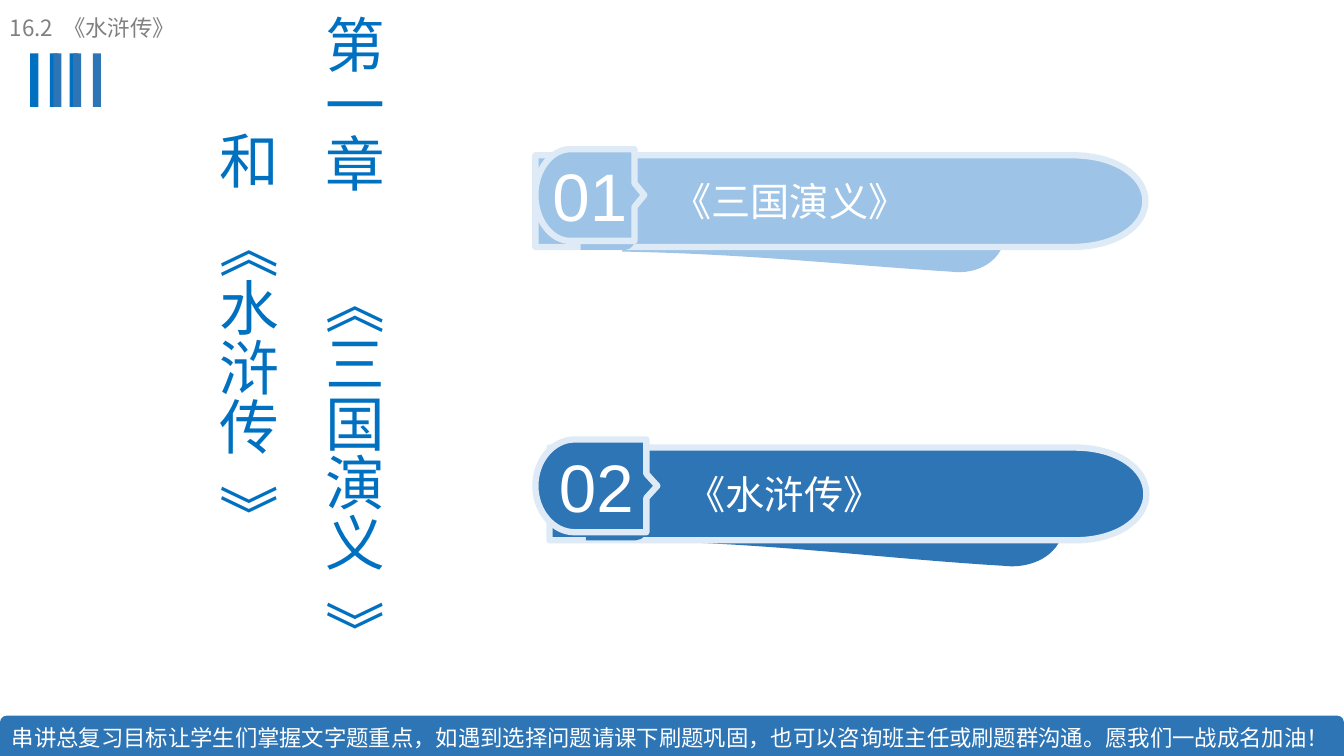
"""Build the chapter contents slide with two numbered banners."""
from lxml.etree import SubElement
from pptx import Presentation
from pptx.dml.color import RGBColor
from pptx.enum.shapes import MSO_SHAPE as Shape
from pptx.enum.text import MSO_ANCHOR as Anchor, MSO_AUTO_SIZE as Fit, PP_ALIGN as Align
from pptx.oxml.ns import qn
from pptx.util import Inches, Pt

CJK, LATIN = "Noto Sans CJK SC", "Arial"
BRIGHT, DEEP, PALE, RIM, WHITE, GREY = "0070C0", "2E75B6", "9DC3E6", "DEEBF7", "FFFFFF", "808080"

TITLE = [
    [("第一章", 0), (" ", 48), ("《三国演义", 0), (" ", 10.5), ("》", 0)],
    [("和", 0), (" ", 10.5), ("《水浒传", 0), (" ", 10.5), ("》", 0)],
]
SECTION = [[("16.2", 0), (" ", 3.5), ("《水浒传》", 0)]]
FOOTER = "串讲总复习目标让学生们掌握文字题重点，如遇到选择问题请课下刷题巩固，也可以咨询班主任或刷题群沟通。愿我们一战成名加油！"
BANNERS = [
    {"number": "01", "name": "《三国演义》", "color": PALE, "tail": 0.8,
     "shadow": (6.17, 1.56, 3.79, 1.17), "bar": (5.31, 1.54, 6.05, 0.91),
     "foot": (5.76, 2, 0.55, 0.48), "tab": (5.31, 1.48, 1.08, 0.91)},
    {"number": "02", "name": "《水浒传》", "color": DEEP, "tail": 0.77,
     "shadow": (6.29, 4.41, 4.25, 1.24), "bar": (5.45, 4.44, 5.92, 0.92),
     "foot": (5.81, 4.88, 0.62, 0.48), "tab": (5.31, 4.36, 1.21, 0.92)},
]
OUTLINES = {
    "bar": [[(0, 0)], [(0.88, 0)], [(0.95, 0), (1, 0.22), (1, 0.5)],
            [(1, 0.78), (0.95, 1), (0.88, 1)], [(0, 1)]],
    "foot": [[(0, 0)], [(0.8, 0)], [(0.91, 0), (1, 0.14), (1, 0.32)], [(1, 0.68)],
             [(1, 0.86), (0.91, 1), (0.8, 1)], [(0, 1)]],
    "tab": [[(0.32, 0)], [(0.91, 0)], [(0.91, 0.37)], [(1, 0.5)], [(0.91, 0.63)],
            [(0.91, 1)], [(0.32, 1)], [(0.15, 1), (0, 0.78), (0, 0.5)],
            [(0, 0.22), (0.15, 0), (0.32, 0)]],
}


def shadow_outline(tail):
    return [[(0.02, 0)], [(0.89, 0.32)], [(0.96, 0.35), (1.01, 0.52), (1, 0.7)],
            [(0.99, 0.88), (0.93, 1), (0.86, 0.97)],
            [(0.57, 0.91), (0.33, tail + 0.02), (0, tail)],
            [(0.01, tail - 0.21), (0.01, 0.22), (0.02, 0)]]


def color(value):
    return RGBColor.from_string(value)


def apply(target, formats):
    for name, value in formats.items():
        setattr(target, name, value)


def paint(shape, fill, rim=None):
    shape.shadow.inherit = False
    shape.fill.solid()
    shape.fill.fore_color.rgb = color(fill)
    if rim:
        shape.line.color.rgb = color(rim)
        shape.line.width = Pt(4.5)
    else:
        shape.line.fill.background()


def write(shape, paragraphs, font, size, ink, frame_formats, para_formats):
    frame = shape.text_frame
    apply(frame, {"word_wrap": True, **frame_formats})
    for index, spans in enumerate(paragraphs):
        para = frame.add_paragraph() if index else frame.paragraphs[0]
        apply(para, para_formats)
        for text, gap in spans:
            span = para.add_run()
            span.text = text
            apply(span.font, {"name": font, "size": Pt(size)})
            span.font.color.rgb = color(ink)
            properties = span.font._element
            east = properties.makeelement(qn("a:ea"), {"typeface": font})
            properties.find(qn("a:latin")).addnext(east)
            if gap:
                properties.set("spc", str(round(gap * 100)))


def add_outline(page, outline, place):
    left, top, width, height = place
    steps = [[(Inches(left + x * width), Inches(top + y * height)) for x, y in step] for step in outline]
    builder = page.shapes.build_freeform(*steps[0][0])
    builder.add_line_segments([step[-1] for step in steps[1:]], close=True)
    shape = builder.convert_to_shape()
    for line, step in zip(list(shape.element.iter(qn("a:lnTo"))), steps[1:]):
        if len(step) == 3:
            curve = line.makeelement(qn("a:cubicBezTo"), {})
            for x, y in step:
                SubElement(curve, qn("a:pt"), x=str(x - shape.left), y=str(y - shape.top))
            line.getparent().replace(line, curve)
    return shape


def add_box(page, kind, place, fill):
    box = page.shapes.add_shape(kind, *map(Inches, place))
    paint(box, fill)
    return box


def add_banner(page, banner):
    parts = {}
    for part, outline in {"shadow": shadow_outline(banner["tail"]), **OUTLINES}.items():
        parts[part] = add_outline(page, outline, banner[part])
        paint(parts[part], banner["color"], RIM if part in ("bar", "tab") else None)
    write(parts["bar"], [[(banner["name"], 0)]], CJK, 28, WHITE,
          {"vertical_anchor": Anchor.MIDDLE, "margin_left": Inches(1.36)}, {"alignment": Align.LEFT})
    write(parts["tab"], [[(banner["number"], 0)]], LATIN, 48, WHITE,
          {"vertical_anchor": Anchor.MIDDLE}, {"alignment": Align.CENTER})


def main():
    deck = Presentation()
    deck.slide_width, deck.slide_height = Inches(13.33), Inches(7.5)
    page = deck.slides.add_slide(deck.slide_layouts[5])

    for start, fill in ((0.3, BRIGHT), (0.53, DEEP)):
        for index in range(3):
            add_box(page, Shape.RECTANGLE, (start + 0.195 * index, 0.53, 0.08, 0.53), fill)
    footer = add_box(page, Shape.ROUND_2_SAME_RECTANGLE, (0, 7.1, 13.33, 0.4), DEEP)
    write(footer, [[(FOOTER, 0)]], CJK, 16, WHITE,
          {"vertical_anchor": Anchor.BOTTOM}, {"alignment": Align.LEFT})

    for banner in BANNERS:
        add_banner(page, banner)

    title = page.shapes.title
    apply(title, dict(zip(("left", "top", "width", "height"), map(Inches, (1.94, 0.1, 2.36, 7.53)))))
    title.element.txBody.bodyPr.set("vert", "eaVert")
    write(title, TITLE, CJK, 42.6, BRIGHT,
          {"vertical_anchor": Anchor.TOP, "auto_size": Fit.NONE},
          {"alignment": Align.CENTER, "line_spacing": 1.48})

    section = page.shapes.add_textbox(*map(Inches, (0, 0.09, 4.71, 0.37)))
    write(section, SECTION, CJK, 16, GREY,
          {"auto_size": Fit.SHAPE_TO_FIT_TEXT}, {"alignment": Align.LEFT})
    deck.save("out.pptx")


if __name__ == "__main__":
    main()
